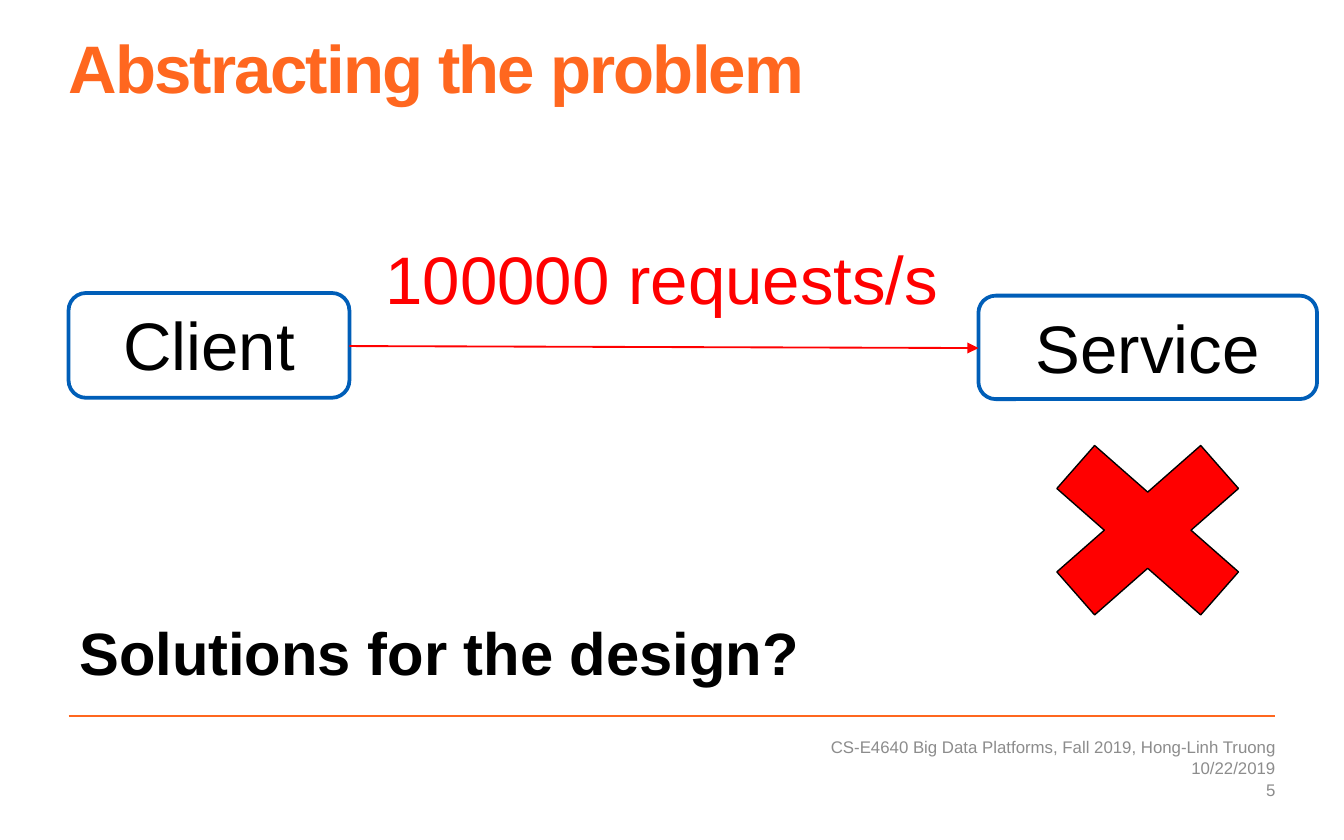
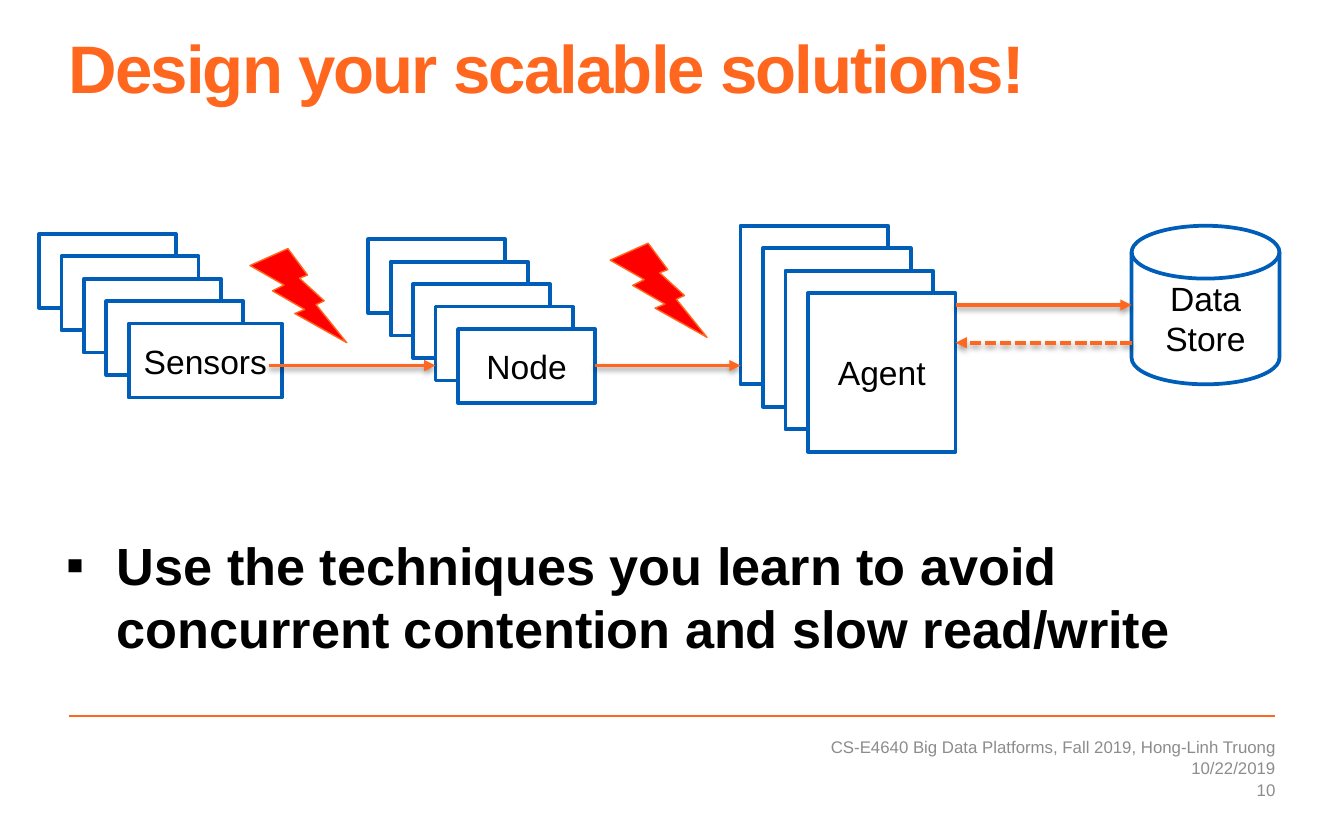
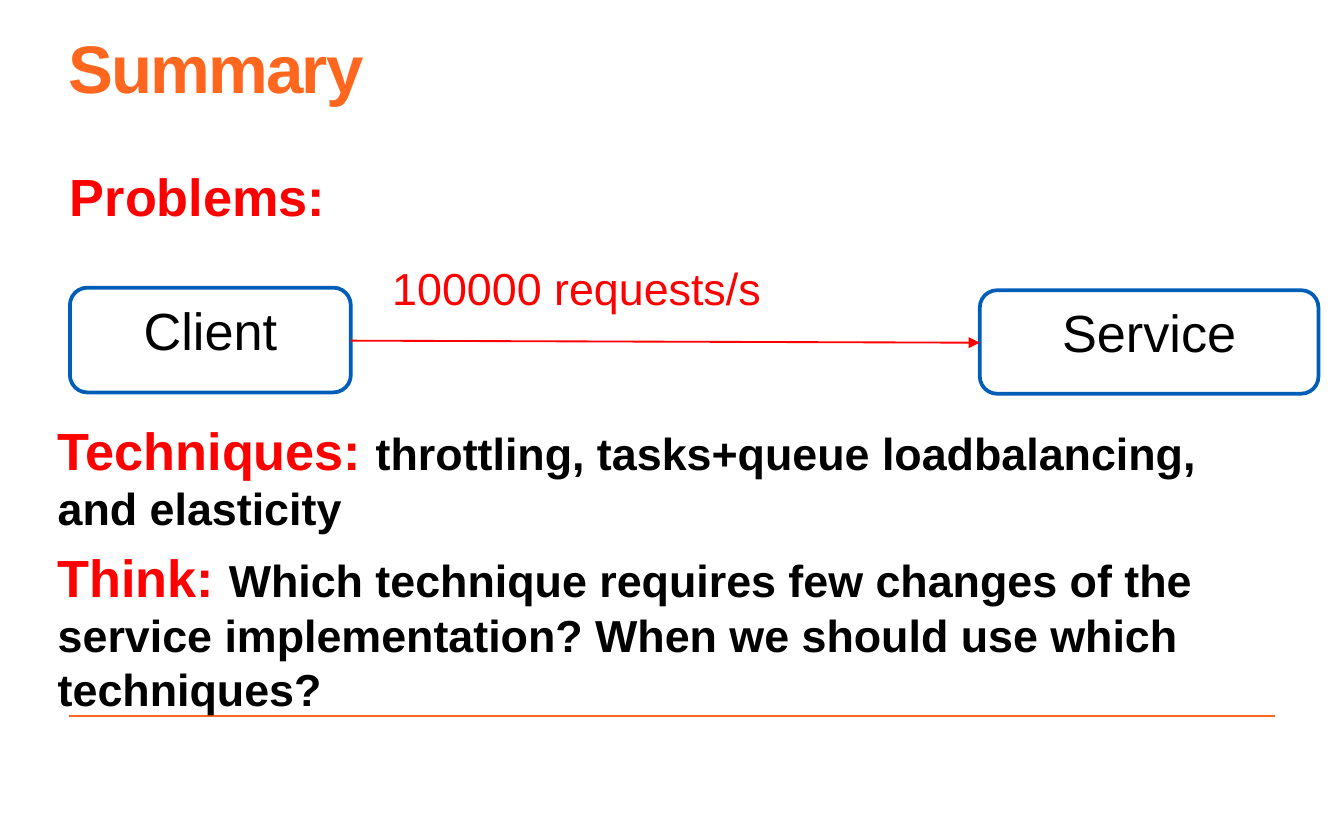
from lxml import etree
from pptx import Presentation
from pptx.dml.color import RGBColor
from pptx.enum.dml import MSO_LINE
from pptx.enum.shapes import MSO_CONNECTOR, MSO_SHAPE
from pptx.enum.text import MSO_ANCHOR, MSO_AUTO_SIZE, PP_ALIGN
from pptx.oxml.ns import qn
from pptx.util import Inches, Pt

STRAIGHT = MSO_CONNECTOR.STRAIGHT
RECT = MSO_SHAPE.RECTANGLE
ROUNDED = MSO_SHAPE.ROUNDED_RECTANGLE
DISK = MSO_SHAPE.FLOWCHART_MAGNETIC_DISK
BOLT = MSO_SHAPE.LIGHTNING_BOLT
CROSS = MSO_SHAPE.MATH_MULTIPLY
TOP, MIDDLE = MSO_ANCHOR.TOP, MSO_ANCHOR.MIDDLE
LEFT, CENTER, RIGHT = PP_ALIGN.LEFT, PP_ALIGN.CENTER, PP_ALIGN.RIGHT
DASHED = MSO_LINE.SQUARE_DOT

COLORS = {
    "orange": "FF671F",
    "blue": "005EB8",
    "red": "FF0000",
    "black": "000000",
    "white": "FFFFFF",
    "gray": "8C8C8C",
}
FONT = "Arial"
WIDTH, HEIGHT = Inches(10), Inches(6.25)
COLUMNS, ROWS = 100, 62.5
MARGIN = 5.1
CONTENT = COLUMNS - 2 * MARGIN
STACK_STEP = 1.67
NO_INSETS = (0, 0, 0, 0)
TEXT_INSETS = (1, 0.5, 1, 0.5)
NODE_INSETS = (0.8, 0.4, 0.8, 0.4)
FOOTER_INSETS = (1, 0.5, 0, 0.5)


def across(columns):
    """Convert grid columns to a length."""
    return round(WIDTH * columns / COLUMNS)


def down(rows):
    """Convert grid rows to a length."""
    return round(HEIGHT * rows / ROWS)


def place(left, top, width, height):
    """Convert a rectangle on the grid to lengths."""
    return across(left), down(top), across(width), down(height)


def color(name):
    """Look up a palette colour."""
    return RGBColor.from_string(COLORS[name])


def style_span(span, size, ink="black", bold=False):
    """Format one run of text."""
    span.font.name = FONT
    span.font.size = Pt(size)
    span.font.bold = bold
    span.font.color.rgb = color(ink)


def set_frame(frame, insets=TEXT_INSETS, anchor=TOP, wrap=True):
    """Set the insets, anchor and wrapping of a text frame."""
    frame.margin_left, frame.margin_right = across(insets[0]), across(insets[2])
    frame.margin_top, frame.margin_bottom = down(insets[1]), down(insets[3])
    frame.vertical_anchor = anchor
    frame.word_wrap = wrap
    frame.auto_size = MSO_AUTO_SIZE.NONE


def write(frame, text, size, ink="black", bold=False, align=LEFT):
    """Fill a frame with one uniform paragraph and return it."""
    frame.text = text
    para = frame.paragraphs[0]
    para.alignment = align
    style_span(para.runs[0], size, ink, bold)
    return para


def add_text(page, spot, text, size, ink="black", bold=False, align=LEFT,
             insets=NO_INSETS, anchor=TOP, wrap=True):
    """Add a text box and return its paragraph."""
    box = page.shapes.add_textbox(*place(*spot))
    set_frame(box.text_frame, insets, anchor, wrap)
    return write(box.text_frame, text, size, ink, bold, align)


def add_box(page, kind, spot, fill="white", outline="blue", weight=2):
    """Add a preset shape with a fill and an outline."""
    box = page.shapes.add_shape(kind, *place(*spot))
    box.shadow.inherit = False
    box.fill.solid()
    box.fill.fore_color.rgb = color(fill)
    box.line.color.rgb = color(outline)
    box.line.width = Pt(weight)
    return box


def add_label(box, text, size=18, insets=TEXT_INSETS, anchor=MIDDLE):
    """Write a centred label inside a shape."""
    set_frame(box.text_frame, insets, anchor)
    write(box.text_frame, text, size, align=CENTER)


def add_line(page, start, end, ink="orange", weight=1):
    """Add a straight line without a shadow."""
    line = page.shapes.add_connector(
        STRAIGHT, across(start[0]), down(start[1]), across(end[0]), down(end[1]))
    line.line.color.rgb = color(ink)
    line.line.width = Pt(weight)
    etree.SubElement(line._element.spPr, qn("a:effectLst"))
    return line


def add_arrow(page, start, end, ink="orange", weight=1):
    """Add a line that ends in a triangle."""
    arrow = add_line(page, start, end, ink, weight)
    etree.SubElement(arrow.line._get_or_add_ln(), qn("a:tailEnd"), type="triangle")
    return arrow


def add_flow(page, start, end, dash=None):
    """Add a thick arrow with a soft shadow below it."""
    arrow = add_arrow(page, start, end, weight=2)
    if dash:
        arrow.line.dash_style = dash
    effects = arrow._element.spPr.find(qn("a:effectLst"))
    shadow = etree.SubElement(effects, qn("a:outerShdw"), blurRad=str(Pt(3.1)),
                              dist=str(Pt(1.6)), dir="5400000", rotWithShape="0")
    tint = etree.SubElement(shadow, qn("a:srgbClr"), val=COLORS["black"])
    etree.SubElement(tint, qn("a:alpha"), val="38000")


def add_stack(page, left, top, width, height, count, label, front_width=None):
    """Add overlapping cards and label the front one."""
    for index in range(count):
        is_front = index == count - 1
        card_width = front_width if is_front and front_width else width
        offset = index * STACK_STEP
        card = add_box(page, RECT, (left + offset, top + offset, card_width, height))
    add_label(card, label)


def add_request(page, left, top, size, caption_spot, caption_size):
    """Draw a client that sends requests to a service."""
    client = (left, top, 20.9, 7.8)
    service = (left + 67.7, top + 0.2, 25.2, 7.7)
    for spot, name in ((client, "Client"), (service, "Service")):
        add_label(add_box(page, ROUNDED, spot), name, size, NODE_INSETS, TOP)
    add_arrow(page, (left + client[2], top + 3.95), (service[0], top + 4.1), "red")
    add_text(page, caption_spot, "100000 requests/s", caption_size, "red",
             insets=TEXT_INSETS)


def add_bullet(para, indent):
    """Give a paragraph a square bullet with a hanging indent."""
    props = para._p.get_or_add_pPr()
    props.set("marL", str(across(indent)))
    props.set("indent", str(-across(indent)))
    etree.SubElement(props, qn("a:buFont"), typeface=FONT)
    etree.SubElement(props, qn("a:buChar"), char="▪")


def add_topics(page, spot, topics):
    """Add paragraphs that each open with a red keyword."""
    frame = page.shapes.add_textbox(*place(*spot)).text_frame
    set_frame(frame, NO_INSETS)
    for index, (keyword, detail) in enumerate(topics):
        para = frame.add_paragraph() if index else frame.paragraphs[0]
        para.space_before = Pt(5.6)
        for text, size, ink in ((keyword + " ", 28, "red"), (detail, 24, "black")):
            span = para.add_run()
            span.text = text
            style_span(span, size, ink, True)


def add_footer(page, number):
    """Add the course, the date and the page number."""
    rows = (
        (54.9, 1.4, "CS-E4640 Big Data Platforms, Fall 2019, Hong-Linh Truong"),
        (56.3, 1.7, "10/22/2019"),
        (58, 1.5, number),
    )
    for top, height, text in rows:
        add_text(page, (55.3, top, 39.6, height), text, 9, "gray", align=RIGHT,
                 insets=FOOTER_INSETS, anchor=MIDDLE)


def add_page(deck, heading, number=None):
    """Add a slide with its title, rule and optional footer."""
    page = deck.slides.add_slide(deck.slide_layouts[5])
    title = page.shapes.title
    title.left, title.top, title.width, title.height = place(MARGIN, 2.9, CONTENT, 10.9)
    set_frame(title.text_frame, NO_INSETS)
    para = write(title.text_frame, heading, 36, "orange", True)
    para.line_spacing = 0.85
    para.runs[0]._r.get_or_add_rPr().set("spc", "-100")
    add_line(page, (MARGIN, 53.3), (MARGIN + CONTENT, 53.3))
    if number:
        add_footer(page, number)
    return page


def build_problem(deck):
    """Build the slide that abstracts the problem."""
    page = add_page(deck, "Abstracting the problem", "5")
    add_request(page, 5.1, 21.8, 36, (27.7, 17.2, 43.5, 7.1), 36)
    add_box(page, CROSS, (75.1, 30.4, 20.6, 18.1), "red", "black", 0.75)
    add_text(page, (5.9, 45.8, 54, 5.4), "Solutions for the design?", 32,
             bold=True, wrap=False)


def build_design(deck):
    """Build the slide with the chain from sensors to data store."""
    page = add_page(deck, "Design your scalable solutions!", "10")
    add_stack(page, 2.9, 17.4, 10.2, 5.5, 5, "Sensors", front_width=11.4)
    add_stack(page, 27.4, 17.8, 10.2, 5.5, 5, "Node")
    add_stack(page, 55.1, 16.8, 11, 11.8, 4, "Agent")
    add_label(add_box(page, DISK, (84.2, 16.8, 11, 11.8)), "Data Store")
    add_flow(page, (20, 27.2), (32.4, 27.2))
    add_flow(page, (44.3, 27.2), (55.1, 27.2))
    add_flow(page, (71.1, 22.7), (84.2, 22.7))
    add_flow(page, (84.2, 25.5), (71.1, 25.5), DASHED)
    for left, top in ((18.6, 18.5), (45.4, 18.1)):
        add_box(page, BOLT, (left, top, 7.2, 7), "red", "orange", 0.75)
    advice = add_text(
        page, (4.9, 39.7, 91.6, 9.4),
        "Use the techniques you learn to avoid concurrent contention and slow read/write",
        28, bold=True)
    add_bullet(advice, 3.8)


def build_summary(deck):
    """Build the summary slide."""
    page = add_page(deck, "Summary")
    add_text(page, (5.2, 12.2, 19.2, 4.7), "Problems:", 28, "red", True, wrap=False)
    add_request(page, 5.2, 21.4, 28, (28.2, 18.9, 43.5, 5), 24)
    add_topics(page, (4.3, 31.1, 91.4, 20.6), (
        ("Techniques:", "throttling, tasks+queue loadbalancing, and elasticity"),
        ("Think:", "Which technique requires few changes of the service "
                   "implementation? When we should use which techniques?"),
    ))


def main():
    """Build the deck and save it."""
    deck = Presentation()
    deck.slide_width, deck.slide_height = WIDTH, HEIGHT
    build_problem(deck)
    build_design(deck)
    build_summary(deck)
    deck.save("out.pptx")


main()
